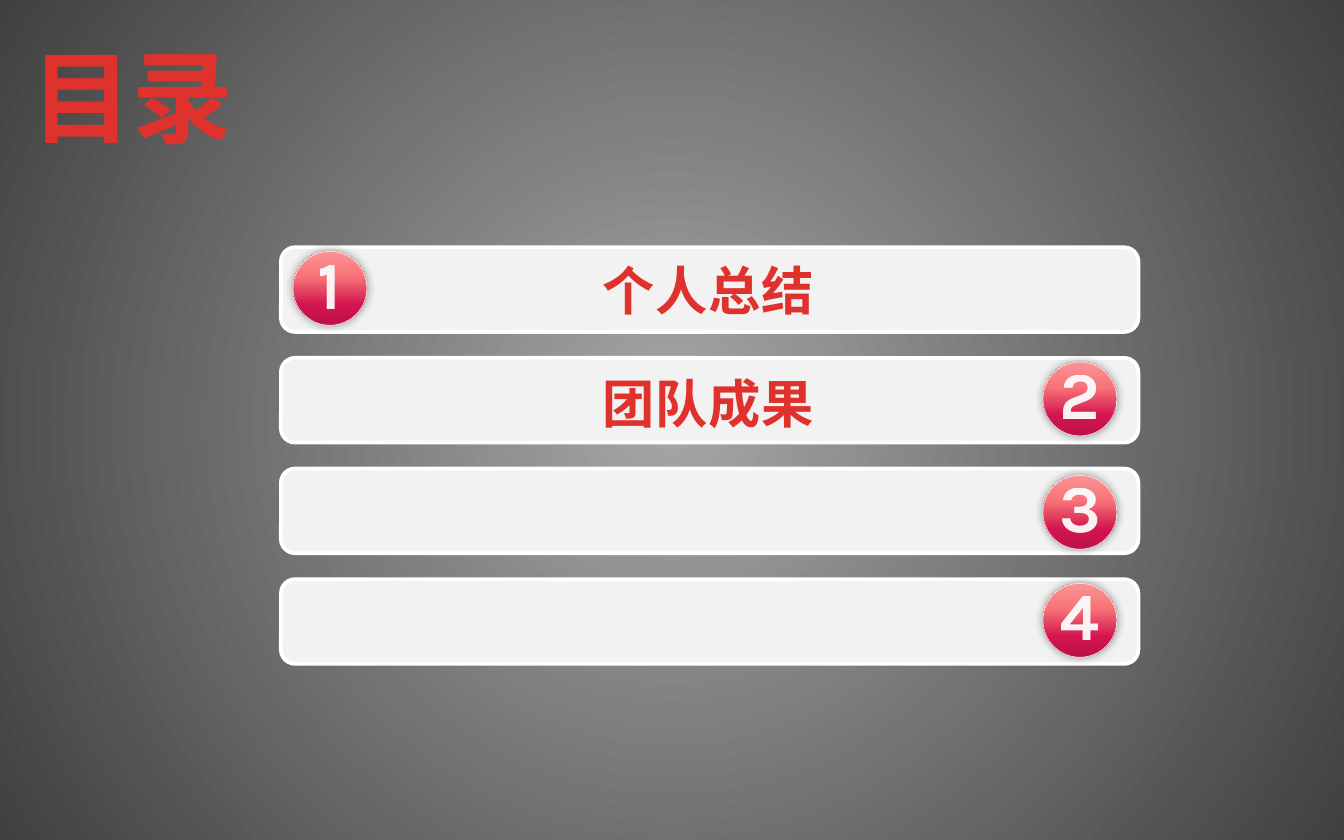
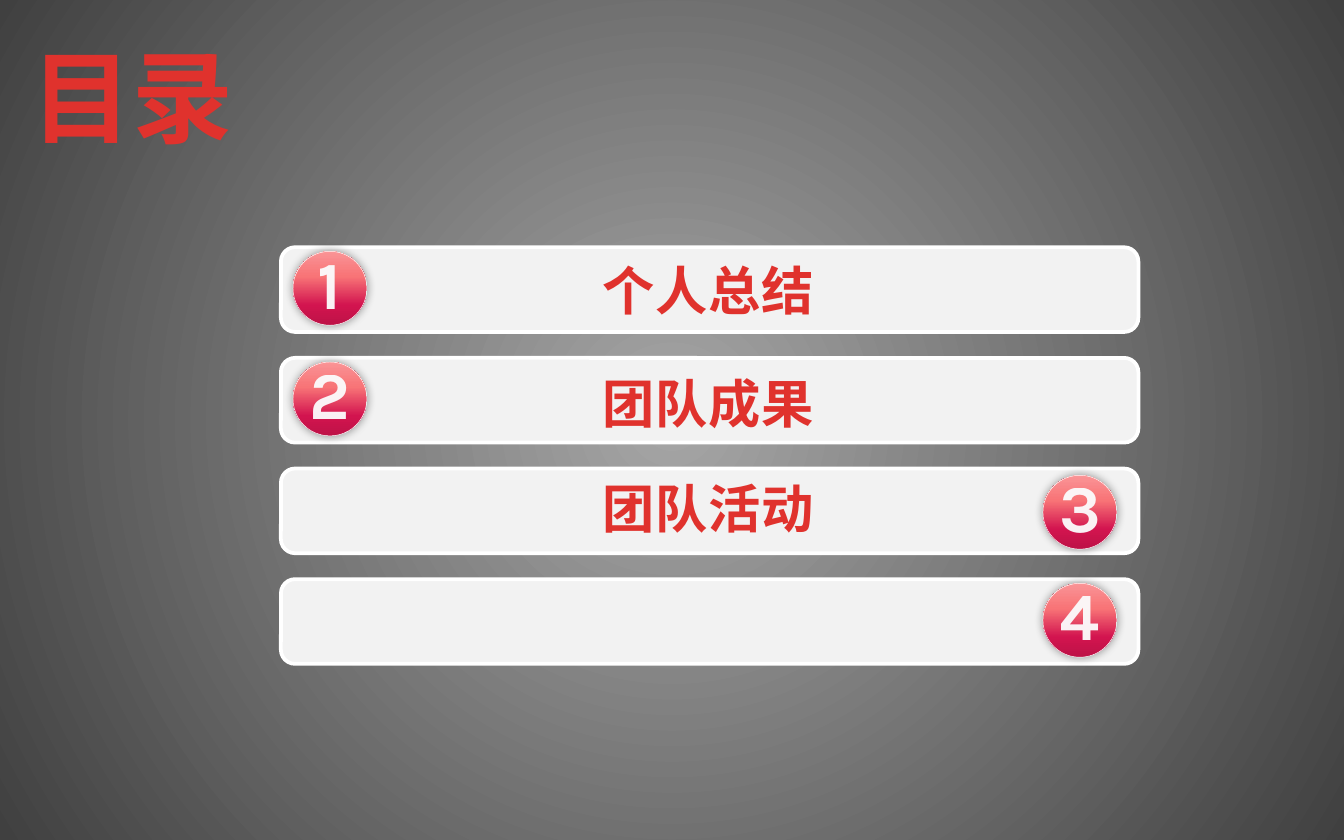
from lxml import etree
from pptx import Presentation
from pptx.dml.color import RGBColor
from pptx.enum.shapes import MSO_SHAPE
from pptx.enum.text import MSO_AUTO_SIZE, PP_ALIGN
from pptx.oxml import parse_xml
from pptx.oxml.ns import qn
from pptx.util import Inches, Pt

ROUNDED = MSO_SHAPE.ROUNDED_RECTANGLE
OVAL = MSO_SHAPE.OVAL
CENTER = PP_ALIGN.CENTER
FIT_SHAPE = MSO_AUTO_SIZE.SHAPE_TO_FIT_TEXT

FONT = "Karla"
DRAWING = 'xmlns:a="http://schemas.openxmlformats.org/drawingml/2006/main"'
COLORS = {
    "bar": "F2F2F2",
    "edge": "FFFFFF",
    "digit": "FCFCFD",
    "digit_outline": "101A26",
    "shadow": "000000",
}
PAGE_STOPS = [(0, "A6A6A6"), (100, "404040")]
RED_STOPS = [(25, "E0322D"), (100, "A2201C")]
BADGE_STOPS = [(0, "BE1247"), (27, "D2144F"), (66, "F87477"), (100, "FA9496")]
CIRCULAR = ('<a:path path="circle">'
            '<a:fillToRect l="50000" t="50000" r="50000" b="50000"/></a:path>')

BAR_LEFT, BAR_WIDTH, BAR_HEIGHT = 2.09, 6.38, 0.63
FIRST_BAR, LAST_BAR, BAR_COUNT = 1.84, 4.31, 4
BAR_STEP = (LAST_BAR - FIRST_BAR) / (BAR_COUNT - 1)
BADGE_SIZE = 0.55
BADGE_LEFT_SIDE, BADGE_RIGHT_SIDE = 0.09, 5.67
BADGE_DROPS = [0.03, 0.03, 0.05, 0.03]
LABEL_DROPS = [0.03, 0.05, 0.01, 0.03]

TOPICS = ["个人总结", "团队成果", "团队活动"]
# Each page: how many topics are shown, how many badges have moved to the left
PAGES = [(2, 1), (3, 2)]


def linear(degrees):
    return f'<a:lin ang="{degrees * 60000}" scaled="0"/>'


def set_gradient(fill, owner, stops, shading):
    """Give a fill these stops; owner is the XML element that holds the fill."""
    fill.gradient()
    stop_xml = "".join(
        f'<a:gs pos="{position * 1000}"><a:srgbClr val="{color}"/></a:gs>'
        for position, color in stops)
    gradient = owner.find(".//" + qn("a:gradFill"))
    gradient.getparent().replace(gradient, parse_xml(
        f'<a:gradFill {DRAWING} rotWithShape="1">'
        f'<a:gsLst>{stop_xml}</a:gsLst>{shading}</a:gradFill>'))


def add_text(shapes, box, text, size, stops=None, color=None, opacity=100,
             outline=None):
    left, top, width, height = map(Inches, box)
    frame = shapes.add_textbox(left, top, width, height).text_frame
    frame.word_wrap = False
    frame.auto_size = FIT_SHAPE
    para = frame.paragraphs[0]
    para.alignment = CENTER
    span = para.add_run()
    span.text = text
    font = span.font
    font.name, font.size, font.bold = FONT, Pt(size), True
    properties = span._r.get_or_add_rPr()
    properties.set("spc", "50")
    if stops:
        set_gradient(font.fill, properties, stops, linear(90))
    else:
        font.color.rgb = RGBColor.from_string(color)
        solid = properties.find(".//" + qn("a:srgbClr"))
        etree.SubElement(solid, qn("a:alpha"), val=str(opacity * 1000))
    if outline:
        properties.insert(0, parse_xml(
            f'<a:ln {DRAWING} w="{Pt(1.06)}"><a:solidFill>'
            f'<a:srgbClr val="{outline}"><a:alpha val="6000"/></a:srgbClr>'
            '</a:solidFill><a:prstDash val="solid"/></a:ln>'))


def add_outlined_shape(shapes, kind, box, line_width):
    shape = shapes.add_shape(kind, *map(Inches, box))
    shape.shadow.inherit = False
    shape.line.color.rgb = RGBColor.from_string(COLORS["edge"])
    shape.line.width = Pt(line_width)
    return shape


def add_bar(page, box):
    bar = add_outlined_shape(page.shapes, ROUNDED, box, 2)
    bar.fill.solid()
    bar.fill.fore_color.rgb = RGBColor.from_string(COLORS["bar"])


def add_badge(page, left, top, number):
    """Group a glowing disc with its number."""
    shapes = page.shapes.add_group_shape().shapes
    disc = add_outlined_shape(
        shapes, OVAL, (left, top, BADGE_SIZE, BADGE_SIZE), 0.25)
    properties = disc._element.spPr
    set_gradient(disc.fill, properties, BADGE_STOPS, linear(270))
    properties.find(qn("a:effectLst")).append(parse_xml(
        f'<a:outerShdw {DRAWING} blurRad="{Pt(5)}" dist="0" dir="0" '
        f'algn="ctr" rotWithShape="0"><a:srgbClr val="{COLORS["shadow"]}">'
        '<a:alpha val="40000"/></a:srgbClr></a:outerShdw>'))
    add_text(shapes, (left + 0.02, top - 0.12, 0.51, 0.71), str(number), 36,
             color=COLORS["digit"], opacity=95,
             outline=COLORS["digit_outline"])


def add_contents_page(deck, topic_count, left_badges):
    page = deck.slides.add_slide(deck.slide_layouts[6])
    set_gradient(page.background.fill, page._element, PAGE_STOPS, CIRCULAR)
    add_text(page.shapes, (0.12, 0.21, 1.73, 1.01), "目录", 54, stops=RED_STOPS)
    tops = [FIRST_BAR + row * BAR_STEP for row in range(BAR_COUNT)]
    for top in tops:
        add_bar(page, (BAR_LEFT, top, BAR_WIDTH, BAR_HEIGHT))
    for row, top in enumerate(tops):
        side = BADGE_LEFT_SIDE if row < left_badges else BADGE_RIGHT_SIDE
        add_badge(page, BAR_LEFT + side, top + BADGE_DROPS[row], row + 1)
    for topic, top, drop in zip(TOPICS[:topic_count], tops, LABEL_DROPS):
        add_text(page.shapes, (BAR_LEFT + 2.28, top + drop, 1.8, 0.57),
                 topic, 28, stops=RED_STOPS)


def main():
    deck = Presentation()
    deck.slide_width, deck.slide_height = Inches(10), Inches(6.25)
    for topic_count, left_badges in PAGES:
        add_contents_page(deck, topic_count, left_badges)
    deck.save("out.pptx")


if __name__ == "__main__":
    main()
